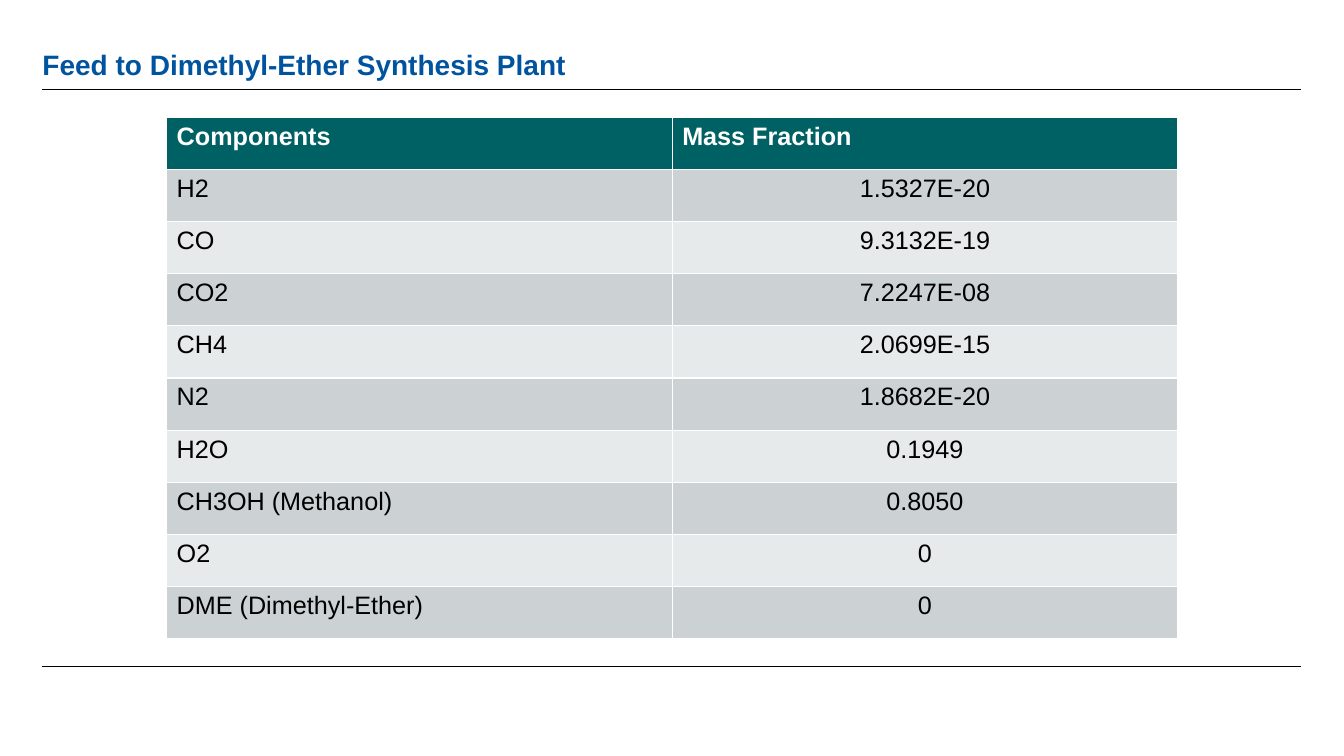
from dataclasses import dataclass

from lxml import etree
from pptx import Presentation
from pptx.dml.color import RGBColor
from pptx.enum.shapes import MSO_CONNECTOR
from pptx.enum.text import MSO_ANCHOR, MSO_AUTO_SIZE, PP_ALIGN
from pptx.oxml.ns import qn
from pptx.slide import Slide
from pptx.table import _Cell
from pptx.text.text import _Paragraph
from pptx.util import Cm, Pt

STRAIGHT = MSO_CONNECTOR.STRAIGHT
BOTTOM = MSO_ANCHOR.BOTTOM
NO_AUTOFIT = MSO_AUTO_SIZE.NONE
LEFT, CENTER = PP_ALIGN.LEFT, PP_ALIGN.CENTER

BLACK = RGBColor(0x00, 0x00, 0x00)
WHITE = RGBColor(0xFF, 0xFF, 0xFF)
TITLE_BLUE = RGBColor(0x00, 0x54, 0x9F)
HEADER_TEAL = RGBColor(0x00, 0x61, 0x65)
BAND_COLORS = (RGBColor(0xCC, 0xD2, 0xD3), RGBColor(0xE7, 0xEA, 0xEA))

FONT = "Arial"
MARGIN = Cm(1.07)
CONTENT_WIDTH = Cm(31.72)
RULE_TOPS = (Cm(2.26), Cm(16.79))
TABLE_LEFT, TABLE_TOP = Cm(4.2), Cm(2.96)
TABLE_WIDTH, TABLE_HEIGHT = Cm(25.48), Cm(13.13)


@dataclass(frozen=True)
class Component:
    name: str
    mass_fraction: str


COMPONENTS = (
    Component("H2", "1.5327E-20"),
    Component("CO", "9.3132E-19"),
    Component("CO2", "7.2247E-08"),
    Component("CH4", "2.0699E-15"),
    Component("N2", "1.8682E-20"),
    Component("H2O", "0.1949"),
    Component("CH3OH (Methanol)", "0.8050"),
    Component("O2", "0"),
    Component("DME (Dimethyl-Ether)", "0"),
)


def add_text(paragraph: _Paragraph, text: str, size: int, color: RGBColor, bold: bool) -> None:
    run = paragraph.add_run()
    run.text = text
    run.font.name = FONT
    run.font.size = Pt(size)
    run.font.bold = bold
    run.font.color.rgb = color


def add_rule(slide: Slide, top: int) -> None:
    """Draw a thin horizontal line across the content width."""
    rule = slide.shapes.add_connector(STRAIGHT, MARGIN, top, MARGIN + CONTENT_WIDTH, top)
    rule.line.color.rgb = BLACK
    rule.line.width = Pt(0.5)
    etree.SubElement(rule._element.spPr, qn("a:effectLst"))


def format_title(slide: Slide, text: str) -> None:
    title = slide.shapes.title
    title.left, title.top = MARGIN, Cm(0.56)
    title.width, title.height = CONTENT_WIDTH, Cm(1.5)
    frame = title.text_frame
    frame.margin_left = frame.margin_top = frame.margin_right = frame.margin_bottom = 0
    frame.vertical_anchor = BOTTOM
    frame.auto_size = NO_AUTOFIT
    frame.word_wrap = True
    paragraph = frame.paragraphs[0]
    paragraph.alignment = LEFT
    paragraph.line_spacing = 0.9
    add_text(paragraph, text, 20, TITLE_BLUE, True)


def fill_cell(cell: _Cell, text: str, fill: RGBColor, color: RGBColor,
              bold: bool = False, alignment: PP_ALIGN = LEFT) -> None:
    cell.fill.solid()
    cell.fill.fore_color.rgb = fill
    paragraph = cell.text_frame.paragraphs[0]
    paragraph.alignment = alignment
    add_text(paragraph, text, 18, color, bold)


def add_component_table(slide: Slide) -> None:
    row_count = len(COMPONENTS) + 1
    table = slide.shapes.add_table(
        row_count, 2, TABLE_LEFT, TABLE_TOP, TABLE_WIDTH, TABLE_HEIGHT
    ).table
    for column, heading in enumerate(("Components", "Mass Fraction")):
        fill_cell(table.cell(0, column), heading, HEADER_TEAL, WHITE, bold=True)
    for row, component in enumerate(COMPONENTS, start=1):
        band = BAND_COLORS[(row - 1) % 2]
        fill_cell(table.cell(row, 0), component.name, band, BLACK)
        fill_cell(table.cell(row, 1), component.mass_fraction, band, BLACK, alignment=CENTER)


def main() -> None:
    presentation = Presentation()
    presentation.slide_width, presentation.slide_height = Cm(33.87), Cm(19.05)
    title_only = presentation.slide_layouts[5]
    slide = presentation.slides.add_slide(title_only)
    for top in RULE_TOPS:
        add_rule(slide, top)
    format_title(slide, "Feed to Dimethyl-Ether Synthesis Plant")
    add_component_table(slide)
    presentation.save("out.pptx")


if __name__ == "__main__":
    main()
